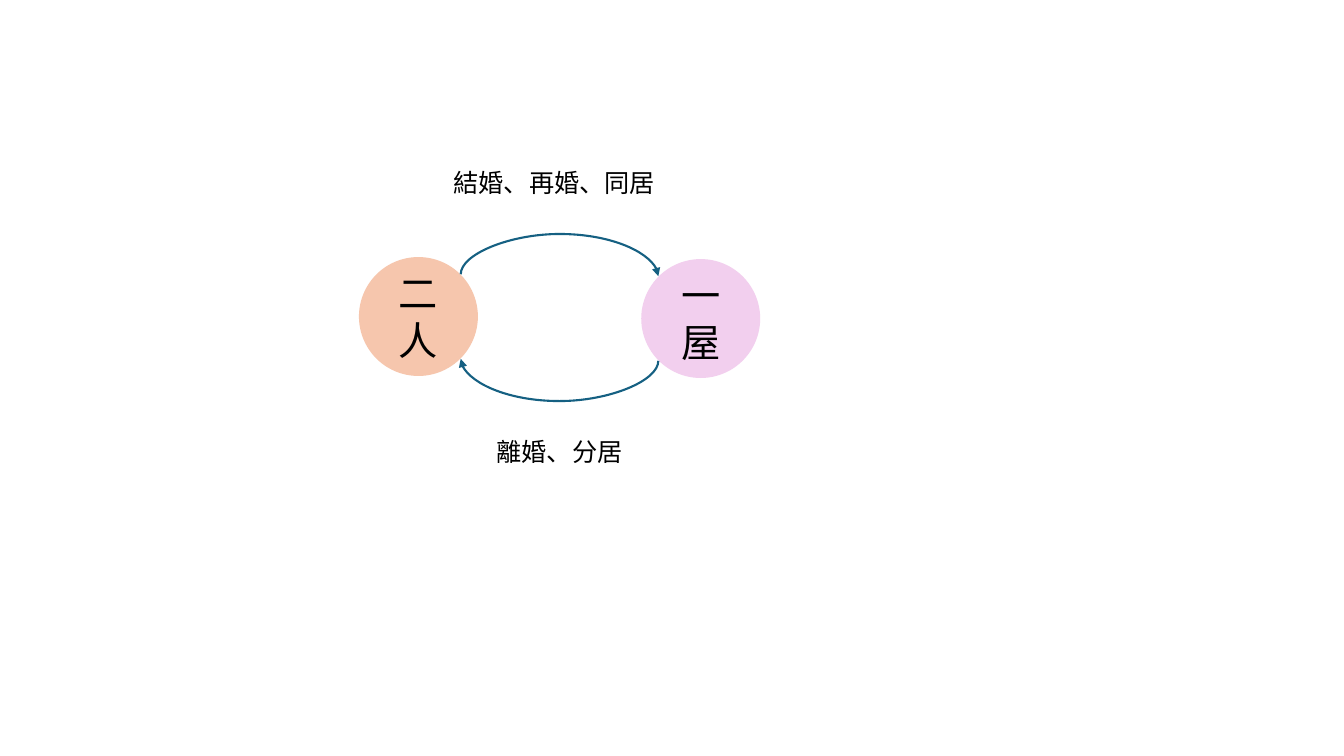
from lxml.etree import SubElement
from pptx import Presentation
from pptx.dml.color import RGBColor
from pptx.enum.shapes import MSO_CONNECTOR as Connector, MSO_SHAPE as Shape
from pptx.enum.text import MSO_ANCHOR as Anchor, MSO_AUTO_SIZE as AutoSize, PP_ALIGN as Align
from pptx.oxml.ns import qn
from pptx.util import Pt

EMU_PER_PX = 9144
PEACH = RGBColor(0xF6, 0xC6, 0xAD)
PINK = RGBColor(0xF2, 0xCF, 0xEE)
TEAL = RGBColor(0x15, 0x60, 0x82)
BLACK = RGBColor(0, 0, 0)


def px(*lengths):
    return [length * EMU_PER_PX for length in lengths]


class HouseholdSlide:
    font = "Noto Sans CJK SC"
    circle_size = 118
    label_height = 40
    arc_thickness = 2
    arc_span = 196
    arc_bulge = -1987700

    def __init__(self, presentation):
        self.slide = presentation.slides.add_slide(presentation.slide_layouts[6])

    def add_text(self, frame, text, size, align):
        paragraph = frame.paragraphs[0]
        paragraph.alignment = align
        run = paragraph.add_run()
        run.text = text
        run.font.size = Pt(size)
        run.font.name = self.font
        run.font.color.rgb = BLACK
        SubElement(run.font._element, qn("a:ea")).set("typeface", self.font)

    def circle(self, left, top, text, color):
        size = self.circle_size
        shape = self.slide.shapes.add_shape(Shape.OVAL, *px(left, top, size, size))
        shape.shadow.inherit = False
        shape.fill.solid()
        shape.fill.fore_color.rgb = color
        shape.line.fill.background()
        shape.text_frame.word_wrap = True
        shape.text_frame.vertical_anchor = Anchor.MIDDLE
        self.add_text(shape.text_frame, text, 28, Align.CENTER)

    def label(self, left, top, width, text, align):
        box = self.slide.shapes.add_textbox(*px(left, top, width, self.label_height))
        box.text_frame.word_wrap = False
        box.text_frame.auto_size = AutoSize.SHAPE_TO_FIT_TEXT
        self.add_text(box.text_frame, text, 18, align)

    def arc_arrow(self, left, top, degrees):
        connector = self.slide.shapes.add_connector(
            Connector.CURVE,
            *px(left + self.arc_thickness, top, left, top + self.arc_span))
        connector.line.color.rgb = TEAL
        connector.line.width = Pt(1.5)
        properties = connector._element.spPr
        properties.find(qn("a:xfrm")).set("rot", str(degrees * 60000))
        guide = SubElement(properties.find(".//" + qn("a:avLst")), qn("a:gd"))
        guide.set("name", "adj1")
        guide.set("fmla", f"val {self.arc_bulge}")
        SubElement(properties.find(qn("a:ln")), qn("a:tailEnd")).set("type", "triangle")
        SubElement(properties, qn("a:effectLst"))


def main():
    presentation = Presentation()
    presentation.slide_width, presentation.slide_height = px(1333, 750)
    household = HouseholdSlide(presentation)
    household.circle(356, 255, "二人", PEACH)
    household.circle(636, 257, "一屋", PINK)
    household.arc_arrow(554, 175, 270)
    household.arc_arrow(554, 259, 90)
    household.label(440, 161, 230, "結婚、再婚、同居", Align.LEFT)
    household.label(482, 428, 146, "離婚、分居", Align.CENTER)
    presentation.save("out.pptx")


if __name__ == "__main__":
    main()
